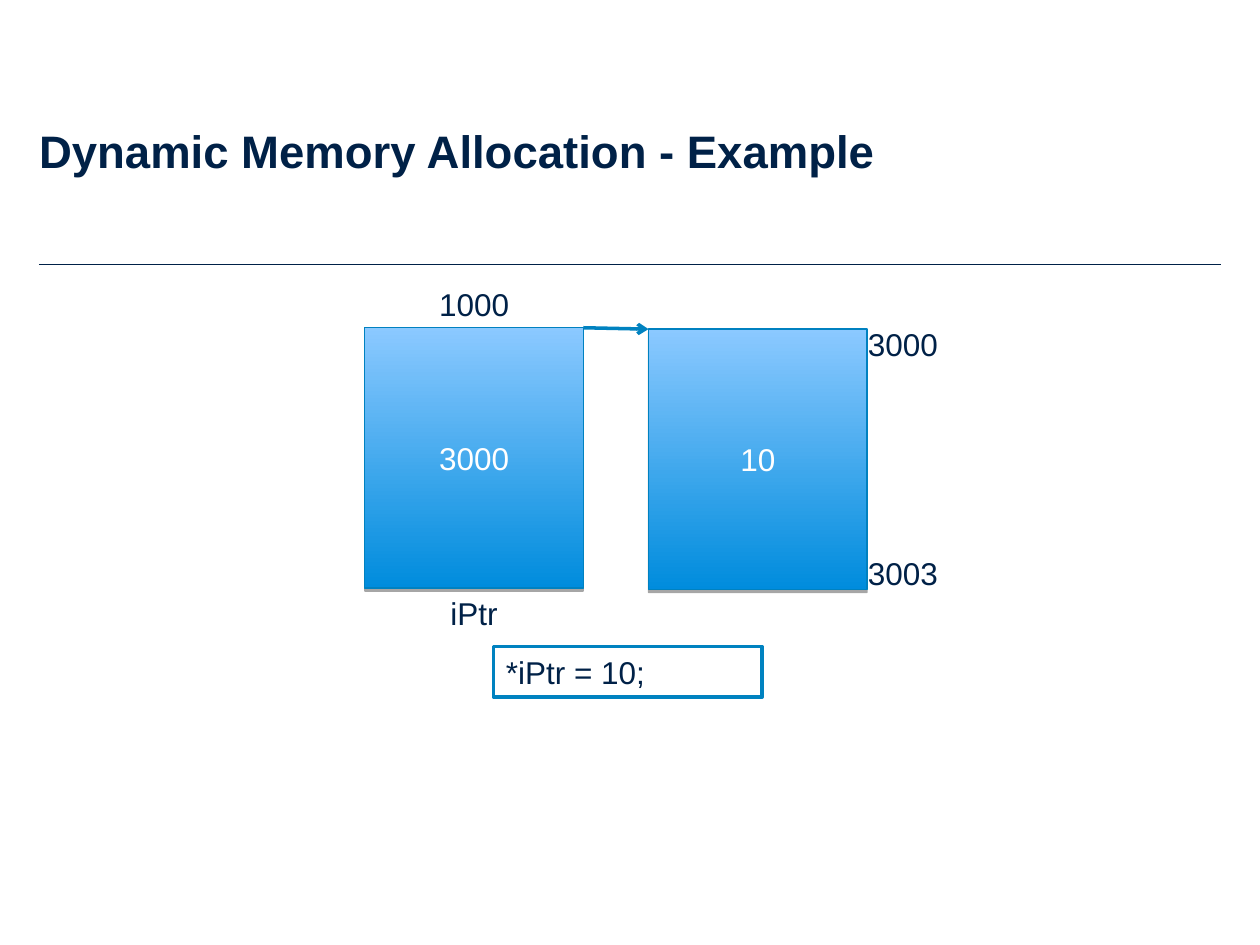
from dataclasses import dataclass

from lxml.etree import SubElement
from pptx import Presentation
from pptx.dml.color import RGBColor as Rgb
from pptx.enum.shapes import MSO_CONNECTOR as Connector, MSO_SHAPE as Preset
from pptx.enum.text import MSO_ANCHOR as Anchor, MSO_AUTO_SIZE as AutoSize, PP_ALIGN as Align
from pptx.oxml.ns import qn
from pptx.util import Pt


@dataclass(frozen=True)
class Theme:
    font: str = "Arial"
    title_size: int = 26
    body_size: int = 18
    ink: Rgb = Rgb.from_string("002147")
    white: Rgb = Rgb.from_string("FFFFFF")
    accent: Rgb = Rgb.from_string("0082C0")
    cell_border: Rgb = Rgb.from_string("0081C0")
    cell_bottom: Rgb = Rgb.from_string("008CDD")
    cell_top: Rgb = Rgb.from_string("8BC9FF")


THEME = Theme()

# Content
TITLE = "Dynamic Memory Allocation - Example"
POINTER = {"name": "iPtr", "address": "1000", "value": "3000"}
TARGET = {"value": "10", "first": "3000", "last": "3003"}
STATEMENT = "*iPtr = 10;"

# Geometry in points
SLIDE_WIDTH, SLIDE_HEIGHT = 720, 540
MARGIN = 22.3
RULE_Y = 151.2
CELL_WIDTH, CELL_HEIGHT = 124.8, 148.7
POINTER_X, POINTER_Y = 208.5, 187.3
TARGET_X, TARGET_Y = 370.6, 188.1
LABEL_HEIGHT = 29
BYTE_X, BYTE_WIDTH = 480, 72


def write(shape, text, size=THEME.body_size, color=THEME.ink, bold=False,
          align=Align.CENTER, anchor=Anchor.TOP):
    frame = shape.text_frame
    frame.word_wrap = True
    frame.vertical_anchor = anchor
    frame.text = text
    paragraph = frame.paragraphs[0]
    paragraph.alignment = align
    font = paragraph.runs[0].font
    font.name, font.size, font.bold = THEME.font, Pt(size), bold
    font.color.rgb = color


def add_label(slide, text, left, top, width):
    label = slide.shapes.add_textbox(Pt(left), Pt(top), Pt(width), Pt(LABEL_HEIGHT))
    write(label, text)
    label.text_frame.auto_size = AutoSize.SHAPE_TO_FIT_TEXT


def add_box(slide, left, top, width, height, border, weight):
    box = slide.shapes.add_shape(Preset.RECTANGLE, Pt(left), Pt(top), Pt(width), Pt(height))
    box.shadow.inherit = False
    box.line.color.rgb = border
    box.line.width = Pt(weight)
    return box


def add_cell(slide, text, left, top):
    cell = add_box(slide, left, top, CELL_WIDTH, CELL_HEIGHT, THEME.cell_border, 0.75)
    cell.fill.gradient()
    cell.fill.gradient_angle = 90
    for stop, color in zip(cell.fill.gradient_stops, (THEME.cell_bottom, THEME.cell_top)):
        stop.color.rgb = color
    # Hard shadow just below the cell
    effects = cell._element.spPr.find(qn("a:effectLst"))
    shadow = SubElement(effects, qn("a:outerShdw"), blurRad="0", dist=str(Pt(1.8)),
                        dir="5400000", rotWithShape="0")
    black = SubElement(shadow, qn("a:srgbClr"), val="000000")
    SubElement(black, qn("a:alpha"), val="35000")
    write(cell, text, color=THEME.white, anchor=Anchor.MIDDLE)


def add_line(slide, start, end, color, weight, arrow=False):
    line = slide.shapes.add_connector(Connector.STRAIGHT, *map(Pt, start + end))
    line.line.color.rgb = color
    line.line.width = Pt(weight)
    if arrow:
        SubElement(line.line._get_or_add_ln(), qn("a:tailEnd"), type="arrow")
    SubElement(line._element.spPr, qn("a:effectLst"))


def main():
    presentation = Presentation()
    presentation.slide_width, presentation.slide_height = Pt(SLIDE_WIDTH), Pt(SLIDE_HEIGHT)
    slide = presentation.slides.add_slide(presentation.slide_layouts[6])

    # Title and rule
    title = slide.shapes.add_textbox(Pt(MARGIN), Pt(1.4), Pt(546.5), Pt(100))
    write(title, TITLE, THEME.title_size, bold=True, align=Align.LEFT, anchor=Anchor.BOTTOM)
    frame = title.text_frame
    frame.margin_left = frame.margin_right = frame.margin_bottom = 0
    add_line(slide, (MARGIN, RULE_Y), (SLIDE_WIDTH - MARGIN, RULE_Y), THEME.ink, 0.6)

    # Pointer cell with its address above and its name below
    add_cell(slide, POINTER["value"], POINTER_X, POINTER_Y)
    add_label(slide, POINTER["address"], POINTER_X, POINTER_Y - LABEL_HEIGHT + 1, CELL_WIDTH)
    add_label(slide, POINTER["name"], POINTER_X, POINTER_Y + CELL_HEIGHT, CELL_WIDTH)

    # Target cell with its first and last byte addresses
    add_cell(slide, TARGET["value"], TARGET_X, TARGET_Y)
    add_label(slide, TARGET["first"], BYTE_X, TARGET_Y - 6, BYTE_WIDTH)
    add_label(slide, TARGET["last"], BYTE_X, TARGET_Y + CELL_HEIGHT - 23.8, BYTE_WIDTH)

    # Pointer arrow
    add_line(slide, (POINTER_X + CELL_WIDTH, POINTER_Y), (TARGET_X, TARGET_Y),
             THEME.accent, 2, arrow=True)

    # Statement
    statement = add_box(slide, 282, 369.4, 153.5, LABEL_HEIGHT, THEME.accent, 2)
    statement.fill.solid()
    statement.fill.fore_color.rgb = THEME.white
    write(statement, STATEMENT, align=Align.LEFT)
    statement.text_frame.auto_size = AutoSize.SHAPE_TO_FIT_TEXT

    presentation.save("out.pptx")


if __name__ == "__main__":
    main()
